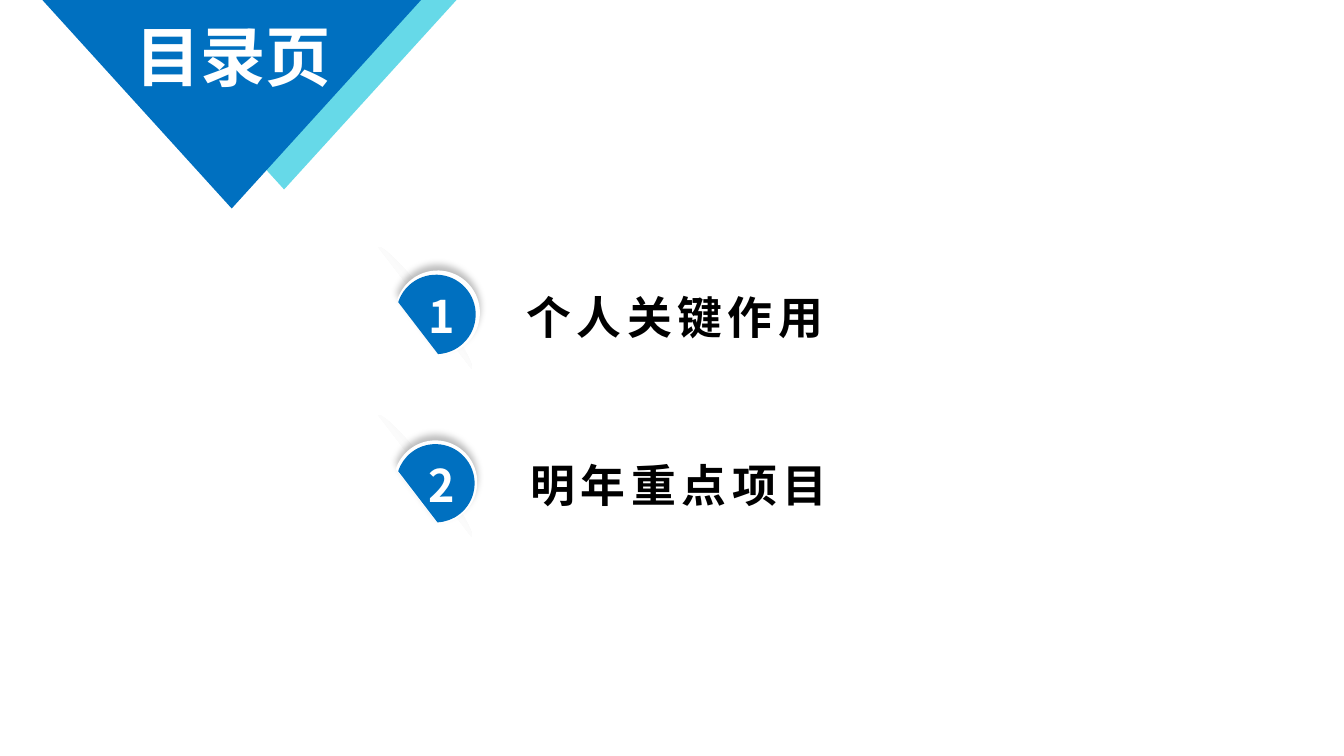
from dataclasses import dataclass
from itertools import pairwise
from math import cos, radians, sin, tan

from lxml.etree import SubElement
from pptx import Presentation
from pptx.dml.color import RGBColor as RGB
from pptx.enum.shapes import MSO_SHAPE as SHAPE
from pptx.enum.text import MSO_ANCHOR as ANCHOR, MSO_AUTO_SIZE as AUTO, PP_ALIGN as ALIGN
from pptx.oxml.ns import qn
from pptx.util import Cm, Pt


@dataclass(frozen=True)
class Theme:
    font: str = "Noto Sans CJK SC"
    blue: RGB = RGB(0x00, 0x70, 0xC0)
    aqua: RGB = RGB(0x66, 0xD9, 0xE8)
    white: RGB = RGB(0xFF, 0xFF, 0xFF)
    black: RGB = RGB(0x00, 0x00, 0x00)
    blade_light: str = "F2F2F2"
    blade_dark: str = "808080"
    title_size: int = 35
    item_size: int = 24


@dataclass(frozen=True)
class Box:
    """Position and size in centimetres."""
    x: float
    y: float
    w: float
    h: float

    def lengths(self):
        return Cm(self.x), Cm(self.y), Cm(self.w), Cm(self.h)


@dataclass(frozen=True)
class Arc:
    """Ellipse cut by a chord; spread is the half angle kept, in degrees."""
    cx: float
    cy: float
    rx: float
    ry: float
    spread: float

    def point(self, angle: float, pull: float = 0):
        """Point at an angle, moved along the tangent by pull for a curve handle."""
        a = radians(angle)
        return (Cm(self.cx + self.rx * (cos(a) - pull * sin(a))),
                Cm(self.cy + self.ry * (sin(a) + pull * cos(a))))


@dataclass(frozen=True)
class Item:
    number: str
    label: str
    blade: Arc
    rim: Arc
    disc: Arc
    number_box: Box
    label_box: Box


THEME = Theme()
TILT = 52.5
DISC_SPREAD = 124.5


def disc(cx: float, cy: float, r: float) -> Arc:
    return Arc(cx, cy, r, r, DISC_SPREAD)


def blade(cy: float) -> Arc:
    return Arc(8.03, cy, 1.44, 0.18, 90)


ITEMS = [
    Item("1", "个人关键作用", blade(5.82), disc(8.27, 5.91, 0.8), disc(8.24, 5.94, 0.75),
         Box(7.84, 5.33, 1.22, 1.27), Box(9.7, 5.35, 11.5, 1.27)),
    Item("2", "明年重点项目", blade(9), disc(8.23, 9.11, 0.79), disc(8.23, 9.13, 0.74),
         Box(7.85, 8.53, 1.17, 1.3), Box(9.78, 8.52, 10.77, 1.27)),
]


def paint(sp, color: RGB) -> None:
    sp.shadow.inherit = False
    sp.fill.solid()
    sp.fill.fore_color.rgb = color
    sp.line.fill.background()


def add_triangle(shapes, box: Box, color: RGB) -> None:
    sp = shapes.add_shape(SHAPE.ISOSCELES_TRIANGLE, *box.lengths())
    sp._element.spPr.find(qn("a:xfrm")).set("flipV", "1")
    paint(sp, color)


def add_arc(shapes, arc: Arc, color: RGB):
    """Draw the cut ellipse with a level chord, then tilt it about the ellipse centre."""
    start, end = -90 - arc.spread, -90 + arc.spread
    angles = [start, *(a for a in (-180, -90, 0) if start < a < end), end]
    points = [arc.point(a) for a in angles]
    builder = shapes.build_freeform(*points[0])
    builder.add_line_segments(points[1:], close=True)
    sp = builder.convert_to_shape()
    bend(sp, arc, angles)
    rise = sp.top + sp.height / 2 - Cm(arc.cy)
    tilt = radians(TILT)
    sp.left = round(Cm(arc.cx) - rise * sin(tilt) - sp.width / 2)
    sp.top = round(Cm(arc.cy) + rise * cos(tilt) - sp.height / 2)
    sp.rotation = TILT
    paint(sp, color)
    return sp


def bend(sp, arc: Arc, angles: list[float]) -> None:
    """Turn each straight segment between two angles into a cubic curve."""
    lines = list(sp._element.spPr.iter(qn("a:lnTo")))
    for line, (a, b) in zip(lines, pairwise(angles)):
        pull = 4 / 3 * tan(radians(b - a) / 4)
        line.tag = qn("a:cubicBezTo")
        for i, (x, y) in enumerate((arc.point(a, pull), arc.point(b, -pull))):
            handle = line.makeelement(qn("a:pt"), x=str(x - sp.left), y=str(y - sp.top))
            line.insert(i, handle)


def add_color(parent, color: str, alpha: int) -> None:
    clr = SubElement(parent, qn("a:srgbClr"), val=color)
    SubElement(clr, qn("a:alpha"), val=str(alpha * 1000))


def fade(sp) -> None:
    """Fade the fill from clear at the chord to grey at the bulge."""
    sp.fill.gradient()
    sp.fill.gradient_angle = 90
    stops = sp._element.spPr.find(qn("a:gradFill")).find(qn("a:gsLst"))
    for stop in list(stops):
        stops.remove(stop)
    for pos, color, alpha in ((26, THEME.blade_light, 0), (100, THEME.blade_dark, 27)):
        add_color(SubElement(stops, qn("a:gs"), pos=str(pos * 1000)), color, alpha)


def cast_shadow(sp) -> None:
    effects = sp._element.spPr.find(qn("a:effectLst"))
    shadow = SubElement(effects, qn("a:outerShdw"), blurRad=str(Pt(4)), dist=str(Pt(3)),
                        dir="16200000", rotWithShape="0")
    add_color(shadow, str(THEME.black), 25)


def write(sp, text: str, size: int, color: RGB, spacing: int = 0) -> None:
    tf = sp.text_frame
    tf.word_wrap = True
    tf.auto_size = AUTO.SHAPE_TO_FIT_TEXT
    tf.vertical_anchor = ANCHOR.TOP
    p = tf.paragraphs[0]
    p.alignment = ALIGN.LEFT
    r = p.add_run()
    r.text = text
    r.font.size = Pt(size)
    r.font.bold = True
    r.font.name = THEME.font
    r.font.color.rgb = color
    props = r._r.get_or_add_rPr()
    SubElement(props, qn("a:ea"), typeface=THEME.font)
    if spacing:
        props.set("spc", str(spacing * 100))


def add_title(s, text: str, box: Box) -> None:
    title = s.shapes.title
    title.left, title.top, title.width, title.height = box.lengths()
    write(title, text, THEME.title_size, THEME.white)
    s.shapes._spTree.append(title._element)  # in front of the triangles


def add_item(s, item: Item) -> None:
    fade(add_arc(s.shapes, item.blade, THEME.white))
    badge = s.shapes.add_group_shape().shapes
    cast_shadow(add_arc(badge, item.rim, THEME.white))
    add_arc(badge, item.disc, THEME.blue)
    write(badge.add_textbox(*item.number_box.lengths()), item.number,
          THEME.item_size, THEME.white)
    write(s.shapes.add_textbox(*item.label_box.lengths()), item.label,
          THEME.item_size, THEME.black, spacing=3)


def main() -> None:
    prs = Presentation()
    prs.slide_width, prs.slide_height = Cm(25.4), Cm(14.28)
    s = prs.slides.add_slide(prs.slide_layouts[5])
    add_triangle(s.shapes, Box(2.11, 0, 6.52, 3.58), THEME.aqua)
    add_triangle(s.shapes, Box(0.8, 0, 7.16, 3.94), THEME.blue)
    add_title(s, "目录页", Box(2.3, 0.18, 4.8, 1.78))
    for item in ITEMS:
        add_item(s, item)
    prs.save("out.pptx")


if __name__ == "__main__":
    main()
